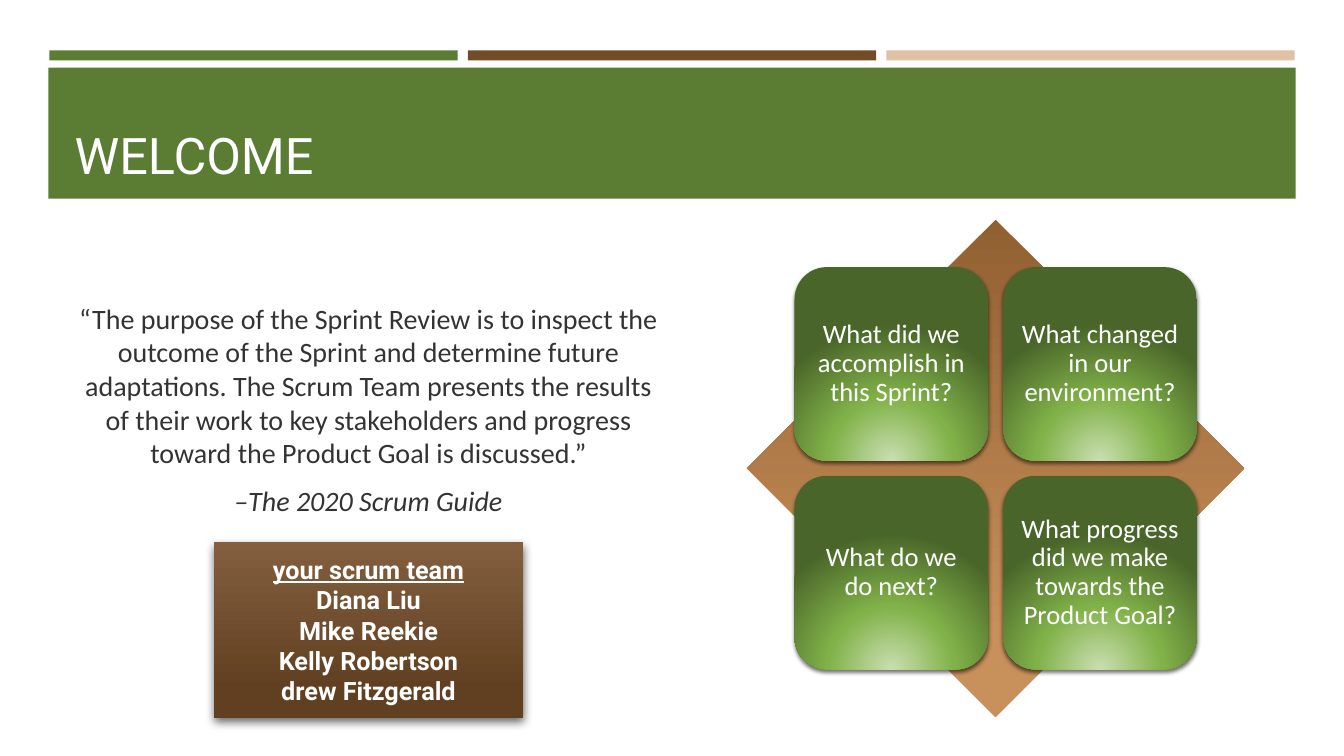
from lxml.etree import SubElement
from pptx import Presentation
from pptx.dml.color import RGBColor
from pptx.enum.shapes import MSO_SHAPE
from pptx.enum.text import MSO_ANCHOR, MSO_AUTO_SIZE, PP_ALIGN
from pptx.oxml.ns import qn
from pptx.util import Inches, Pt

TITLE = "WELCOME"
QUOTE = (
    "“The purpose of the Sprint Review is to inspect the outcome of the Sprint "
    "and determine future adaptations. The Scrum Team presents the results of "
    "their work to key stakeholders and progress toward the Product Goal is discussed.”"
)
SOURCE = "–The 2020 Scrum Guide"
TEAM = ["your scrum team", "Diana Liu", "Mike Reekie", "Kelly Robertson", "drew Fitzgerald"]
QUESTIONS = [
    ["What did we accomplish in this Sprint?", "What changed in our environment?"],
    ["What do we do next?", "What progress did we make towards the Product Goal?"],
]

GREEN, WHITE, DARK = "5B7D33", "FFFFFF", "333333"
BAR_COLORS = [GREEN, "724C26", "E0C1A3"]
DIAMOND_STOPS = [(0, "916031"), (84, "C8905B")]
TILE_STOPS = [(0, "CADFB2"), (46, "81B249"), (100, "496529")]
TEAM_STOPS = [(0, "835E3F"), (84, "604020")]

BAR_LEFT, BAR_TOP, BAR_W, BAR_H, BAR_GAP = 0.49, 0.5, 4.05, 0.1, 0.1
DIAMOND_LEFT, DIAMOND_TOP, DIAMOND_SIZE = 7.41, 2.18, 4.93
TILE_SIZE, TILE_GAP = 1.92, 0.15
TILE_MARGIN = (DIAMOND_SIZE - 2 * TILE_SIZE - TILE_GAP) / 2


def rgb(color):
    return RGBColor.from_string(color)


def add_shape(s, kind, box, color=None):
    sp = s.shapes.add_shape(kind, *map(Inches, box))
    sp.shadow.inherit = False
    sp.line.fill.background()
    if color:
        sp.fill.solid()
        sp.fill.fore_color.rgb = rgb(color)
    return sp


def set_gradient(sp, stops, radial=False):
    spPr = sp._element.spPr
    grad = SubElement(spPr, qn("a:gradFill"), rotWithShape="1")
    spPr.find(qn("a:prstGeom")).addnext(grad)
    gsLst = SubElement(grad, qn("a:gsLst"))
    for pos, color in stops:
        gs = SubElement(gsLst, qn("a:gs"), pos=str(pos * 1000))
        SubElement(gs, qn("a:srgbClr"), val=color)
    if radial:
        circle = SubElement(grad, qn("a:path"), path="circle")
        SubElement(circle, qn("a:fillToRect"), l="50000", t="130000", r="50000", b="-30000")
    else:
        SubElement(grad, qn("a:lin"), ang="5400000", scaled="0")


def set_shadow(sp, alpha, blur, dist, angle):
    effects = sp._element.spPr.find(qn("a:effectLst"))
    shadow = SubElement(
        effects, qn("a:outerShdw"), blurRad=str(Pt(blur)), dist=str(Pt(dist)),
        dir=str(angle * 60000), algn="ctr", rotWithShape="0",
    )
    clr = SubElement(shadow, qn("a:srgbClr"), val="000000")
    SubElement(clr, qn("a:alpha"), val=str(alpha * 1000))


def write(sp, lines, font, size, color, align=PP_ALIGN.CENTER, anchor=MSO_ANCHOR.MIDDLE):
    tf = sp.text_frame
    tf.text = "\n".join(lines)
    tf.word_wrap = True
    tf.auto_size = MSO_AUTO_SIZE.NONE
    tf.vertical_anchor = anchor
    for p in tf.paragraphs:
        p.alignment = align
        f = p.runs[0].font
        f.name, f.size, f.color.rgb = font, Pt(size), rgb(color)
    return tf


def add_header(s):
    for i, color in enumerate(BAR_COLORS):
        left = BAR_LEFT + i * (BAR_W + BAR_GAP)
        add_shape(s, MSO_SHAPE.RECTANGLE, (left, BAR_TOP, BAR_W, BAR_H), color)
    add_shape(s, MSO_SHAPE.RECTANGLE, (0.48, 0.67, 12.37, 1.3), GREEN)
    title = s.shapes.title
    title.left, title.top, title.width, title.height = map(Inches, (0.64, 0.77, 12.06, 1.11))
    write(title, [TITLE], "Roboto", 36, "FFFEFF", PP_ALIGN.LEFT, MSO_ANCHOR.BOTTOM)
    title._element.getparent().append(title._element)


def add_quote(s):
    box = s.shapes.add_textbox(*map(Inches, (0.64, 2.38, 6.03, 3.36)))
    tf = write(box, [QUOTE, SOURCE], "Calibri", 20, DARK)
    for p in tf.paragraphs:
        p.space_before, p.space_after = Pt(4), Pt(6)
    tf.paragraphs[1].runs[0].font.italic = True


def add_questions(s):
    diamond = add_shape(s, MSO_SHAPE.DIAMOND,
                        (DIAMOND_LEFT, DIAMOND_TOP, DIAMOND_SIZE, DIAMOND_SIZE))
    set_gradient(diamond, DIAMOND_STOPS)
    for row, questions in enumerate(QUESTIONS):
        for col, question in enumerate(questions):
            left = DIAMOND_LEFT + TILE_MARGIN + col * (TILE_SIZE + TILE_GAP)
            top = DIAMOND_TOP + TILE_MARGIN + row * (TILE_SIZE + TILE_GAP)
            tile = add_shape(s, MSO_SHAPE.ROUNDED_RECTANGLE, (left, top, TILE_SIZE, TILE_SIZE))
            set_gradient(tile, TILE_STOPS, radial=True)
            set_shadow(tile, 55, 3, 2, 90)
            tf = write(tile, [question], "Calibri", 19, WHITE)
            tf.margin_left = tf.margin_right = tf.margin_top = tf.margin_bottom = Inches(0.08)
            tf.paragraphs[0].line_spacing = 0.9


def add_team(s):
    card = add_shape(s, MSO_SHAPE.RECTANGLE, (2.12, 5.38, 3.07, 1.74))
    set_gradient(card, TEAM_STOPS)
    set_shadow(card, 60, 7, 3, 84)
    tf = write(card, TEAM, "Roboto", 18, WHITE)
    for p in tf.paragraphs:
        p.runs[0].font.bold = True
    tf.paragraphs[0].runs[0].font.underline = True


def main():
    prs = Presentation()
    prs.slide_width, prs.slide_height = Inches(13.33), Inches(7.5)
    s = prs.slides.add_slide(prs.slide_layouts[5])
    add_header(s)
    add_quote(s)
    add_questions(s)
    add_team(s)
    prs.save("out.pptx")


if __name__ == "__main__":
    main()
